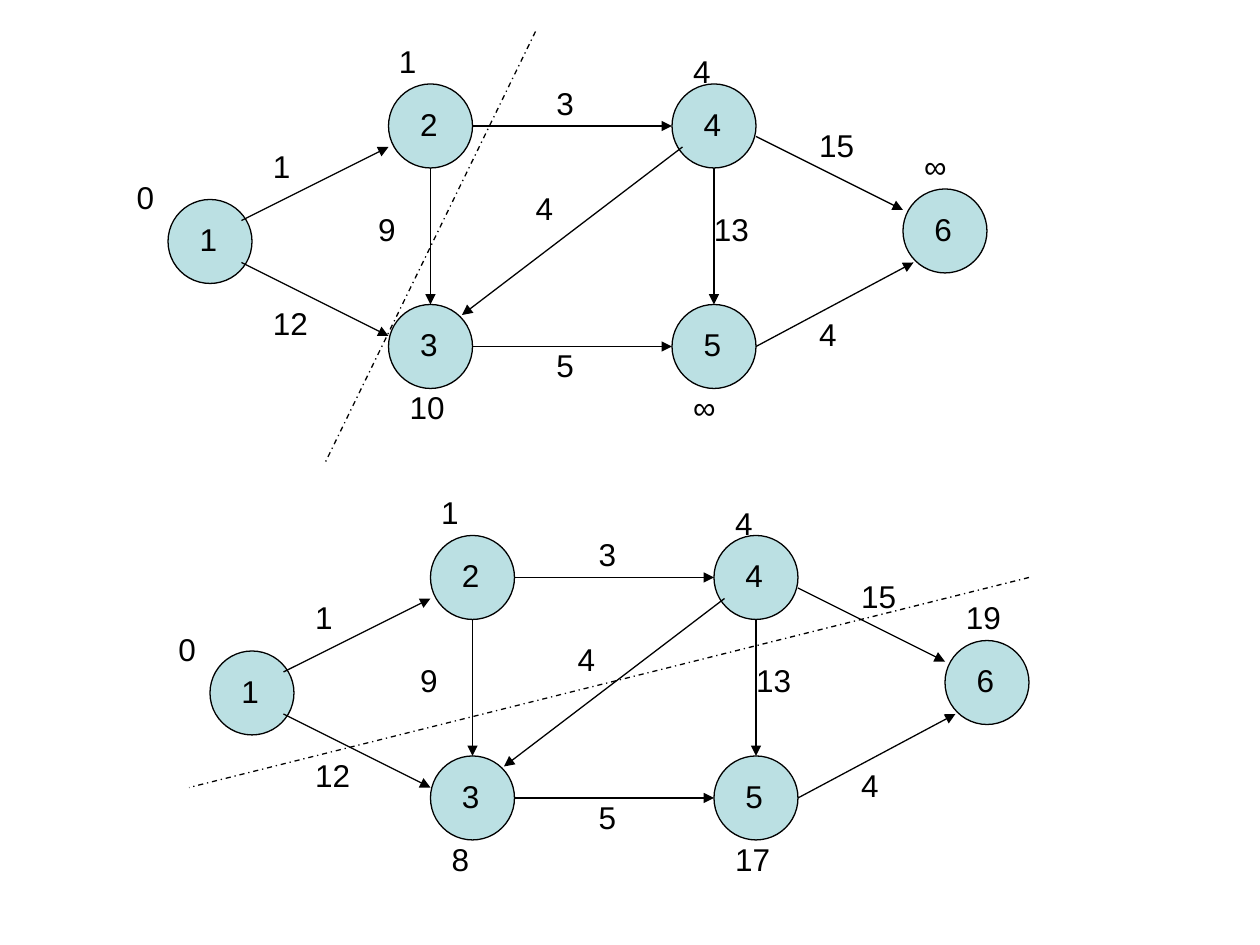
from lxml.etree import SubElement as Sub
from pptx import Presentation
from pptx.dml.color import RGBColor as Rgb
from pptx.enum.dml import MSO_LINE as Dash
from pptx.enum.shapes import MSO_CONNECTOR as Link, MSO_SHAPE as Shape
from pptx.enum.text import MSO_AUTO_SIZE as Fit
from pptx.oxml.ns import qn
from pptx.util import Inches, Pt

INK = {"node": "BBE0E3", "line": "000000", "text": "000000"}
COLS, ROWS = 84, 41  # grid of one graph
SIZE = 8  # node diameter in grid cells

# node: column, row, offset of its distance label
NODES = {
    "1": (4, 16, -3, -2),
    "6": (74, 15, 2, -4),
    "5": (52, 26, 2, 8),
    "4": (52, 5, 2, -3),
    "3": (25, 26, 2, 8),
    "2": (25, 5, 1, -4),
}

# weight, label place, start, end
EDGES = [
    ("1", (14, 11), (11, 18), (25, 11)),
    ("12", (14, 26), (11, 22), (25, 29)),
    ("9", (24, 17), (29, 13), (29, 26)),
    ("5", (41, 30), (33, 30), (52, 30)),
    ("3", (41, 5), (33, 9), (52, 9)),
    ("4", (39, 15), (53, 11), (32, 27)),
    ("13", (56, 17), (56, 13), (56, 26)),
    ("15", (66, 9), (60, 10), (74, 17)),
    ("4", (66, 27), (60, 30), (75, 22)),
]


def put_text(host, text, x, y, wide, high, size=18, font="Arial", color="text"):
    box = host.add_textbox(x, y, wide, high)
    frame = box.text_frame
    frame.margin_left = frame.margin_right = 0
    frame.margin_top = frame.margin_bottom = 0
    frame.word_wrap = True
    frame.auto_size = Fit.SHAPE_TO_FIT_TEXT
    run = frame.paragraphs[0].add_run()
    run.text = text
    run.font.size = Pt(size)
    run.font.name = font
    run.font.color.rgb = Rgb.from_string(INK[color])


def put_line(host, start, end, arrow=False, dash=None):
    line = host.add_connector(Link.STRAIGHT, *start, *end)
    line.line.width = Pt(0.75)
    line.line.color.rgb = Rgb.from_string(INK["line"])
    if dash:
        line.line.dash_style = dash
    if arrow:
        Sub(line.line._get_or_add_ln(), qn("a:tailEnd"), type="triangle")
    Sub(line._element.spPr, qn("a:effectLst"))


def put_node(host, name, x, y, wide, high):
    group = host.add_group_shape().shapes
    disc = group.add_shape(Shape.OVAL, x, y, wide, high)
    disc.shadow.inherit = False
    disc.fill.solid()
    disc.fill.fore_color.rgb = Rgb.from_string(INK["node"])
    disc.line.color.rgb = Rgb.from_string(INK["line"])
    disc.line.width = Pt(0.75)
    put_text(group, name, x + wide * 3 // 8, y + high // 4,
             wide // 4, Inches(0.3))


def put_graph(host, box, costs, cut):
    left, top, wide, high = box

    def spot(col, row):
        return left + wide * col // COLS, top + high * row // ROWS

    def label(text, col, row):
        put_text(host, text, *spot(col, row), wide * 4 // COLS, Inches(0.3))

    # Nodes
    for name, (col, row, *_) in NODES.items():
        put_node(host, name, *spot(col, row),
                 wide * SIZE // COLS, high * SIZE // ROWS)
    # Edges, then their weights
    for _, _, start, end in EDGES:
        put_line(host, spot(*start), spot(*end), arrow=True)
    for cost, place, _, _ in EDGES:
        label(cost, *place)
    # Distances from node 1
    for name, (col, row, right, down) in NODES.items():
        label(costs[name], col + right, row + down)
    # Cut between settled and open nodes
    put_line(host, *(spot(*end) for end in cut), dash=Dash.DASH_DOT)


def main():
    deck = Presentation()
    deck.slide_width, deck.slide_height = Inches(10), Inches(7.5)
    host = deck.slides.add_slide(deck.slide_layouts[6]).shapes
    cell = Inches(1) // 12
    area = (COLS * cell, ROWS * cell)

    # Upper graph: nodes 1 and 2 settled
    put_graph(host, (12 * cell, 3 * cell, *area),
              {"1": "0", "2": "1", "3": "10", "4": "4", "5": "∞", "6": "∞"},
              ((39, 0), (19, 41)))
    # Lower graph: nodes 1, 2 and 4 settled
    put_graph(host, (16 * cell, 46 * cell, *area),
              {"1": "0", "2": "1", "3": "8", "4": "4", "5": "17", "6": "19"},
              ((82, 9), (2, 29)))
    deck.save("out.pptx")


if __name__ == "__main__":
    main()
